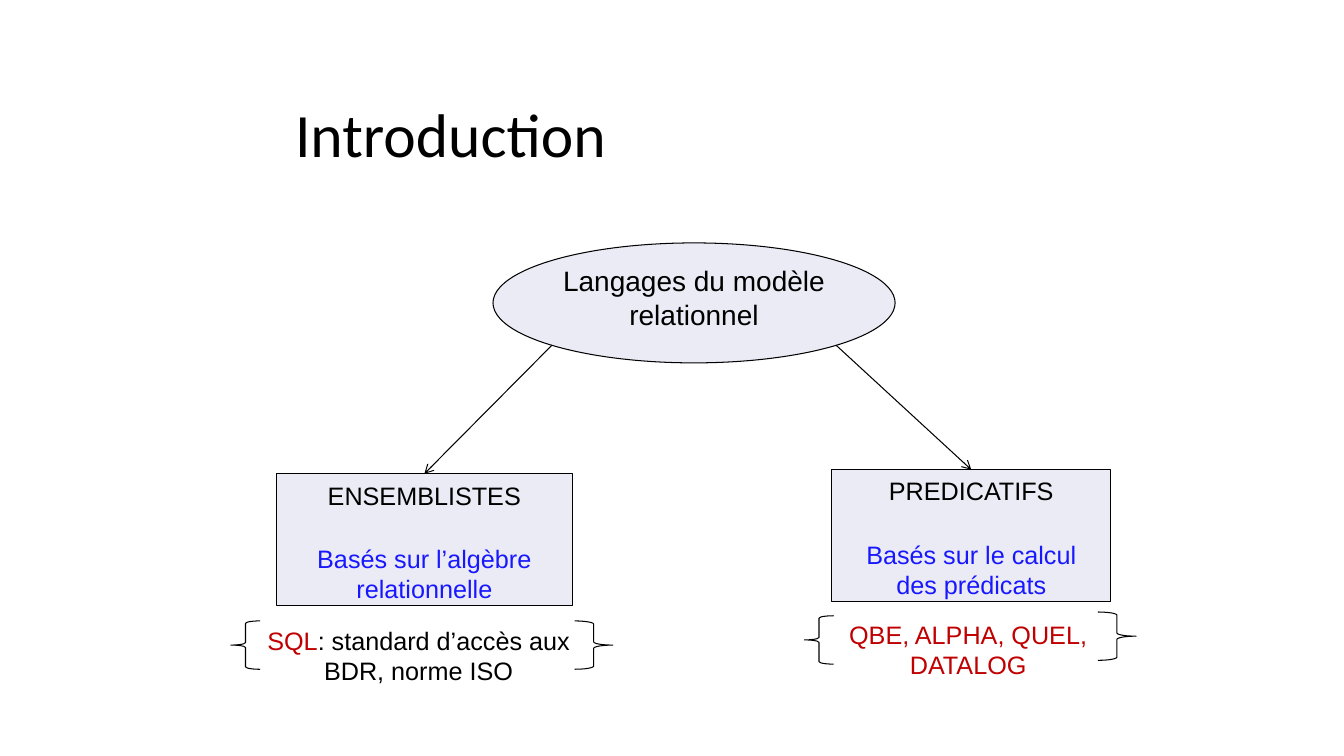
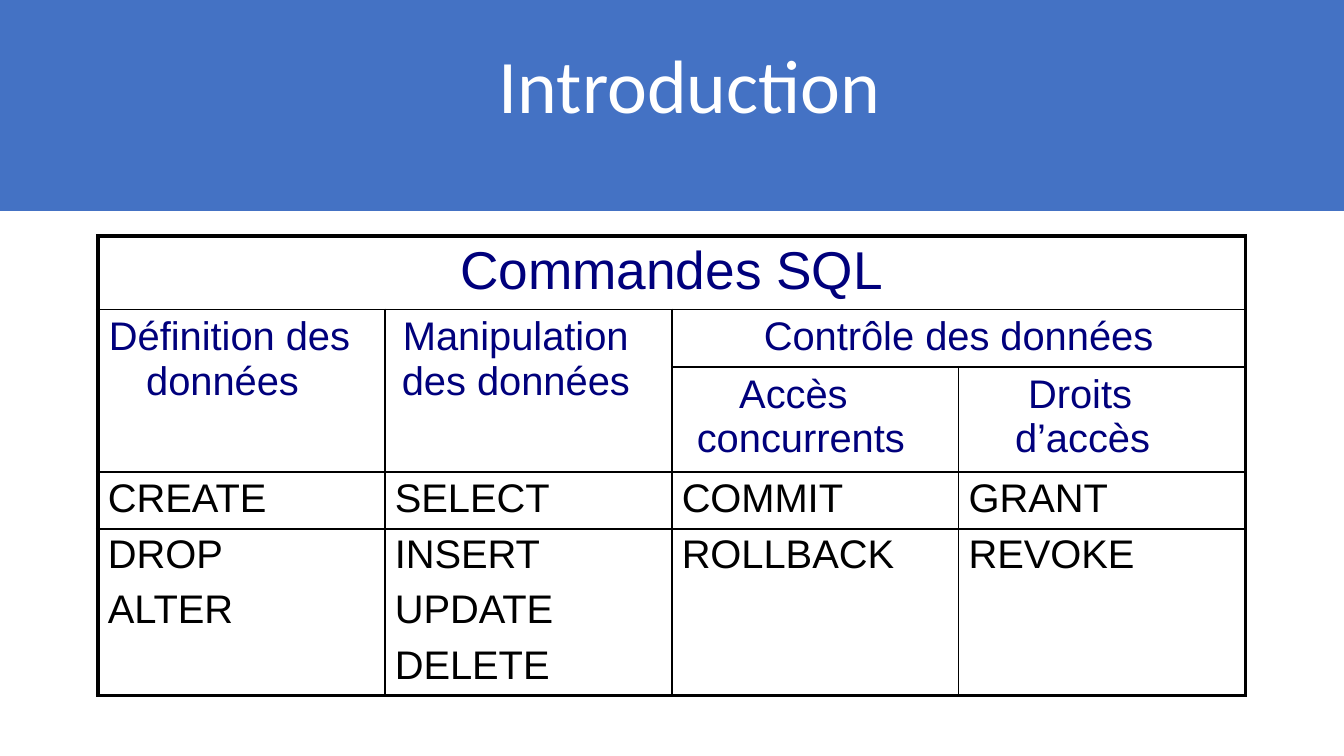
from lxml import etree
from pptx import Presentation
from pptx import util as u
from pptx.dml.color import RGBColor
from pptx.enum import shapes, text
from pptx.oxml import ns

W, H = u.Inches(13.333), u.Inches(7.5)
BLACK, WHITE, NAVY = "000000", "FFFFFF", "00007C"
BAND, PALE, BLUE, RED = "4472C4", "EBEBF5", "1818FF", "C00000"
CENTER = text.PP_ALIGN.CENTER
SHAPE = shapes.MSO_SHAPE


# Helpers
def rgb(value):
    return RGBColor.from_string(value)


def area(x, y, w, h):
    """Box given in percent of the slide's width and height."""
    return [int(W * x / 100), int(H * y / 100), int(W * w / 100), int(H * h / 100)]


def child(parent, tag, **attrs):
    return etree.SubElement(parent, ns.qn(tag), attrs)


def write(p, words, size=18, color=BLACK, font="Arial", align=None,
          before=None, left=0, first=0):
    """Add a run to a paragraph and set the paragraph's layout."""
    r = p.add_run()
    r.text = words
    r.font.size, r.font.name = u.Pt(size), font
    r.font.bold = False
    r.font.color.rgb = rgb(color)
    if align is not None:
        p.alignment = align
    if before:
        p.space_before = u.Pt(before)
    if left or first:
        pPr = p._p.get_or_add_pPr()
        pPr.set("marL", str(u.Inches(left)))
        pPr.set("indent", str(u.Inches(first)))


def frame(sp, left=0, top=0, right=0, bottom=0, anchor=text.MSO_ANCHOR.TOP):
    tf = sp.text_frame
    tf.word_wrap = True
    tf.vertical_anchor = anchor
    tf.margin_left, tf.margin_top = u.Inches(left), u.Inches(top)
    tf.margin_right, tf.margin_bottom = u.Inches(right), u.Inches(bottom)
    return tf


def add_shape(s, kind, box, fill=None, line=None):
    sp = s.shapes.add_shape(kind, *area(*box))
    sp.shadow.inherit = False
    if fill:
        sp.fill.solid()
        sp.fill.fore_color.rgb = rgb(fill)
    else:
        sp.fill.background()
    if line:
        sp.line.color.rgb = rgb(line)
        sp.line.width = u.Pt(0.75)
    else:
        sp.line.fill.background()
    return sp


def add_title(s, box, size, color, align=None, **layout):
    tf = frame(s.shapes.add_textbox(*area(*box)), **layout)
    write(tf.paragraphs[0], "Introduction", size, color, "Calibri", align)
    return tf


# Diagram parts
def add_family(s, box, name, basis):
    sp = add_shape(s, SHAPE.RECTANGLE, box, PALE, BLACK)
    tf = frame(sp, left=0.3, top=0.06, right=0.3)
    write(tf.paragraphs[0], name, align=CENTER)
    write(tf.add_paragraph(), basis, color=BLUE, align=CENTER, before=23.6)
    return sp


def add_arrow(s, oval, side, target):
    """Arrow from the oval's lower left (-1) or lower right (1) to a box's top."""
    reach = 0.5 ** 0.5 / 2
    x = int(oval.left + oval.width * (0.5 + side * reach))
    y = int(oval.top + oval.height * (0.5 + reach))
    c = s.shapes.add_connector(shapes.MSO_CONNECTOR.STRAIGHT, x, y,
                               target.left + target.width // 2, target.top)
    c.end_connect(target, 0)
    c.line.color.rgb = rgb(BLACK)
    c.line.width = u.Pt(0.75)
    child(c.line._get_or_add_ln(), "a:tailEnd", type="arrow")
    child(c._element.spPr, "a:effectLst")


def add_example(s, box, runs, left_brace, right_brace):
    tf = frame(s.shapes.add_textbox(*area(*box)), top=0.02)
    for words, color in runs:
        write(tf.paragraphs[0], words, color=color, align=CENTER)
    add_shape(s, SHAPE.LEFT_BRACE, (*left_brace, 2.18, 6.4), line=BLACK)
    add_shape(s, SHAPE.RIGHT_BRACE, (*right_brace, 2.85, 6.4), line=BLACK)


# Table parts
COL_LINES = [3, 1.5, 1.5, 1, 2.25]
ROW_LINES = [3, 1.5, 1.5, 1.5, 1.5, 0, 0, 2.25]
ROW_HEIGHTS = [0.73, 0.57, 1.04, 0.57, 0.55, 0.55, 0.55]
# Merged blocks: first row, first column, end row, end column
MERGES = [(0, 0, 1, 4), (1, 0, 3, 1), (1, 1, 3, 2), (1, 2, 2, 4)]
HEADINGS = {
    (0, 0): ("Commandes SQL", dict(size=38, align=CENTER)),
    (1, 0): ("Définition des données", dict(left=0.48, first=-0.37)),
    (1, 1): ("Manipulation des données", dict(left=0.17, first=0.01)),
    (1, 2): ("Contrôle des données", dict(align=CENTER)),
    (2, 2): ("Accès concurrents", dict(left=0.25, first=0.42)),
    (2, 3): ("Droits d’accès", dict(left=0.56, first=0.13)),
}
COMMANDS = [
    ["CREATE", "DROP", "ALTER"],
    ["SELECT", "INSERT", "UPDATE", "DELETE"],
    ["COMMIT", "ROLLBACK"],
    ["GRANT", "REVOKE"],
]


def block_of(row, col):
    for r0, c0, r1, c1 in MERGES:
        if r0 <= row < r1 and c0 <= col < c1:
            return r0, c0, r1, c1
    return row, col, row + 1, col + 1


def set_borders(cell, **widths):
    tcPr = cell._tc.get_or_add_tcPr()
    for side, width in widths.items():
        ln = child(tcPr, f"a:ln{side}", w=str(u.Pt(width)))
        if width:
            child(child(ln, "a:solidFill"), "a:srgbClr", val=BLACK)
        else:
            child(ln, "a:noFill")


def add_commands_table(s, box):
    rows, cols = len(ROW_HEIGHTS), len(COMMANDS)
    table = s.shapes.add_table(rows, cols, *area(*box)).table
    table.first_row = table.horz_banding = False
    for row, height in zip(table.rows, ROW_HEIGHTS):
        row.height = u.Inches(height)
    for r in range(rows):
        for c in range(cols):
            cell = table.cell(r, c)
            r0, c0, r1, c1 = block_of(r, c)
            set_borders(cell, L=COL_LINES[c0], R=COL_LINES[c1],
                        T=ROW_LINES[r0], B=ROW_LINES[r1])
            cell.fill.background()
            cell.margin_left = cell.margin_right = cell.margin_bottom = 0
            cell.margin_top = u.Inches(0.05 if r < 4 else 0.03)
    for r0, c0, r1, c1 in MERGES:
        table.cell(r0, c0).merge(table.cell(r1 - 1, c1 - 1))
    for (r, c), (words, layout) in HEADINGS.items():
        p = table.cell(r, c).text_frame.paragraphs[0]
        write(p, words, **{"size": 28.5, "color": NAVY, **layout})
    for c, names in enumerate(COMMANDS):
        for r, name in enumerate(names, 3):
            p = table.cell(r, c).text_frame.paragraphs[0]
            write(p, name, 28.5, left=0.1)


# Slides
def languages_slide(prs):
    s = prs.slides.add_slide(prs.slide_layouts[6])
    add_title(s, (19.4, 7.6, 71, 14.9), 44, BLACK, left=0.34, top=0.38,
              anchor=text.MSO_ANCHOR.MIDDLE)
    oval = add_shape(s, SHAPE.OVAL, (36.68, 32.13, 29.92, 15.87), PALE, BLACK)
    write(frame(oval, top=0.03).paragraphs[0], "Langages du modèle relationnel",
          20, align=CENTER)
    sets = add_family(s, (20.55, 62.67, 22.05, 17.4), "ENSEMBLISTES",
                      "Basés sur l’algèbre relationnelle")
    predicates = add_family(s, (61.88, 62.13, 20.78, 17.4), "PREDICATIFS",
                            "Basés sur le calcul des prédicats")
    add_arrow(s, oval, -1, sets)
    add_arrow(s, oval, 1, predicates)
    add_example(s, (19.35, 82.4, 23.6, 8.4),
                [("SQL", RED), (": standard d’accès aux BDR, norme ISO", BLACK)],
                (17.18, 82.13), (42.75, 82.13))
    add_example(s, (62.29, 81.6, 19.5, 8.4),
                [("QBE, ALPHA, QUEL, DATALOG", RED)],
                (59.85, 81.45), (81.68, 80.95))


def commands_slide(prs):
    s = prs.slides.add_slide(prs.slide_layouts[6])
    add_shape(s, SHAPE.RECTANGLE, (0, 0, 100, 27.9), BAND)
    tf = add_title(s, (6.9, 4.27, 86.25, 13.6), 54, WHITE, CENTER, left=0.44,
                   top=0.05, right=0.1, bottom=0.05,
                   anchor=text.MSO_ANCHOR.BOTTOM)
    tf.paragraphs[0].line_spacing = 0.9
    add_commands_table(s, (7.28, 31.2, 85.4, 60.8))


def main():
    prs = Presentation()
    prs.slide_width, prs.slide_height = W, H
    languages_slide(prs)
    commands_slide(prs)
    prs.save("out.pptx")


if __name__ == "__main__":
    main()
